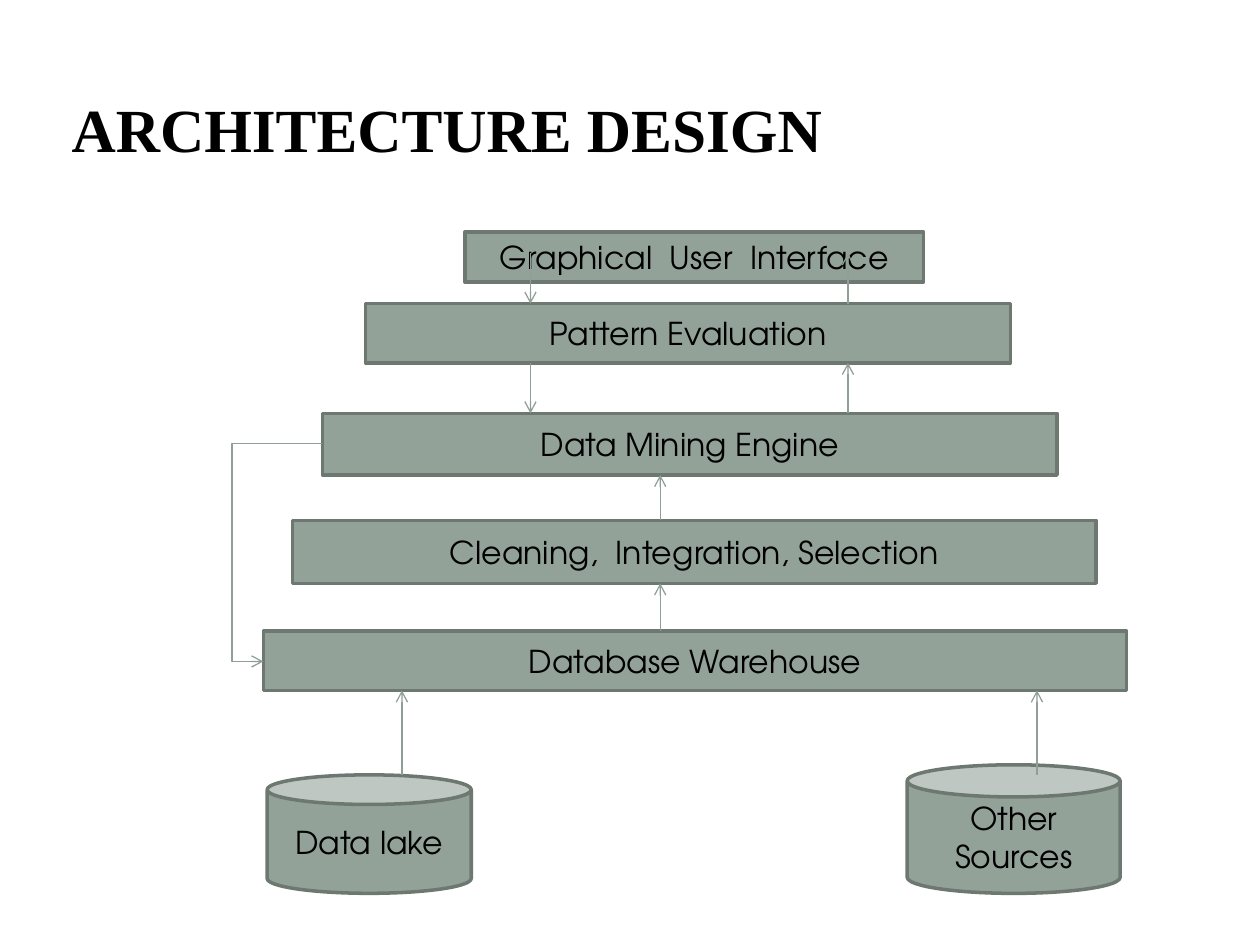
import pptx
import pptx.util
import pptx.dml.color
import pptx.enum.shapes
import pptx.enum.text
import pptx.oxml.ns
import lxml.etree

Inches, Pt = pptx.util.Inches, pptx.util.Pt
RGB = pptx.dml.color.RGBColor.from_string
SHAPE = pptx.enum.shapes.MSO_SHAPE
LINK = pptx.enum.shapes.MSO_CONNECTOR
ALIGN = pptx.enum.text.PP_ALIGN
qn = pptx.oxml.ns.qn
COLORS = {"text": "000000", "fill": "93A299", "border": "6D7871", "arrow": "8F9F96"}

prs = pptx.Presentation()
prs.slide_width, prs.slide_height = Inches(10), Inches(7.5)
s = prs.slides.add_slide(prs.slide_layouts[6])


def write(sp, text, size=18, font="TeX Gyre Adventor", bold=False, align=ALIGN.CENTER):
    tf = sp.text_frame
    tf.word_wrap = True
    tf.vertical_anchor = pptx.enum.text.MSO_ANCHOR.MIDDLE
    p = tf.paragraphs[0]
    p.alignment = align
    r = p.add_run()
    r.text = text
    r.font.size, r.font.name, r.font.bold = Pt(size), font, bold
    r.font.color.rgb = RGB(COLORS["text"])


def arrow(x1, y1, x2, y2, kind=LINK.STRAIGHT):
    c = s.shapes.add_connector(kind, Inches(x1), Inches(y1), Inches(x2), Inches(y2))
    c.line.color.rgb = RGB(COLORS["arrow"])
    c.line.width = Pt(0.75)
    lxml.etree.SubElement(c.line._get_or_add_ln(), qn("a:tailEnd"), type="arrow")
    lxml.etree.SubElement(c._element.spPr, qn("a:effectLst"))
    return c


title = s.shapes.add_textbox(Inches(0.47), Inches(0.45), Inches(9.03), Inches(1.14))
write(title, "ARCHITECTURE DESIGN", size=35, font="Times New Roman", bold=True, align=ALIGN.LEFT)

blocks = [
    ("Graphical  User  Interface", SHAPE.RECTANGLE, 3.69, 1.84, 3.64, 0.4),
    ("Pattern Evaluation", SHAPE.RECTANGLE, 2.9, 2.41, 5.12, 0.47),
    ("Data Mining Engine", SHAPE.RECTANGLE, 2.56, 3.28, 5.83, 0.49),
    ("Cleaning,  Integration, Selection", SHAPE.RECTANGLE, 2.32, 4.13, 6.38, 0.5),
    ("Database Warehouse", SHAPE.RECTANGLE, 2.09, 5.01, 6.85, 0.47),
    ("Data lake", SHAPE.CAN, 2.12, 6.15, 1.62, 0.94),
    ("Other Sources", SHAPE.CAN, 7.2, 6.07, 1.69, 1.02),
]
for text, kind, x, y, w, h in blocks:
    sp = s.shapes.add_shape(kind, Inches(x), Inches(y), Inches(w), Inches(h))
    sp.shadow.inherit = False
    sp.fill.solid()
    sp.fill.fore_color.rgb = RGB(COLORS["fill"])
    sp.line.color.rgb = RGB(COLORS["border"])
    sp.line.width = Pt(2)
    write(sp, text)

for top, bottom in [(2.01, 2.41), (2.88, 3.28)]:
    arrow(4.21, top, 4.21, bottom)
    arrow(6.73, bottom, 6.73, top)
for x, bottom, top in [(5.24, 5.01, 4.63), (5.24, 4.13, 3.77), (3.19, 6.15, 5.48), (8.23, 6.15, 5.48)]:
    arrow(x, bottom, x, top)

feedback = arrow(2.56, 3.52, 2.09, 5.25, kind=LINK.ELBOW)
geom = feedback._element.spPr.find(qn("a:prstGeom"))
guides = geom.find(qn("a:avLst"))
if guides is None:
    guides = lxml.etree.SubElement(geom, qn("a:avLst"))
lxml.etree.SubElement(guides, qn("a:gd"), name="adj1", fmla="val 152900")

prs.save("out.pptx")
